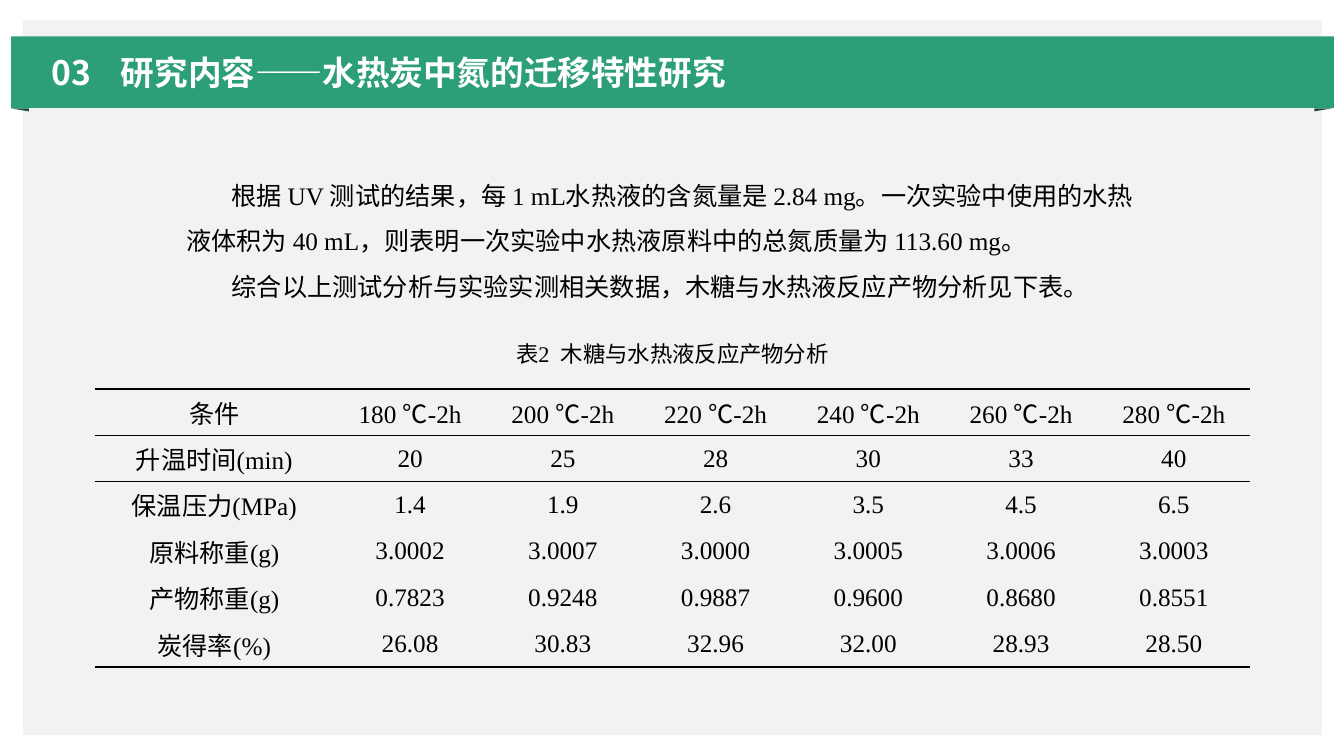
from pptx import Presentation
from pptx import util as u
from pptx.dml.color import RGBColor
from pptx.enum import shapes, text
from pptx.oxml.ns import qn
from lxml import etree

TITLE = "03\t研究内容——水热炭中氮的迁移特性研究"
BODY = [
    "根据 UV 测试的结果，每 1 mL水热液的含氮量是 2.84 mg。一次实验中使用的水热液体积为 40 mL，"
    "则表明一次实验中水热液原料中的总氮质量为 113.60 mg。",
    "综合以上测试分析与实验实测相关数据，木糖与水热液反应产物分析见下表。",
]
CAPTION = ("表", "2", "木糖与水热液反应产物分析")
TEMPERATURES = (180, 200, 220, 240, 260, 280)
RESULTS = [
    ("升温时间(min)", "20", "25", "28", "30", "33", "40"),
    ("保温压力(MPa)", "1.4", "1.9", "2.6", "3.5", "4.5", "6.5"),
    ("原料称重(g)", "3.0002", "3.0007", "3.0000", "3.0005", "3.0006", "3.0003"),
    ("产物称重(g)", "0.7823", "0.9248", "0.9887", "0.9600", "0.8680", "0.8551"),
    ("炭得率(%)", "26.08", "30.83", "32.96", "32.00", "28.93", "28.50"),
]
COLORS = {"panel": "F2F2F2", "banner": "2C9F76", "fold": "16503B",
          "title": "FFFFFF", "text": "000000", "rule": "080000"}
SANS, SERIF = "Noto Sans CJK SC", "Times New Roman"
LABEL_WIDTH, VALUE_WIDTH, ROW_HEIGHT = 2.37, 1.515, 0.46
THICK, THIN = 1.5, 1


def assign(target, values):
    for name, value in values.items():
        setattr(target, name, value)


def add_block(page, kind, place, color):
    block = page.shapes.add_shape(kind, *map(u.Inches, place))
    block.shadow.inherit = False
    block.fill.solid()
    block.fill.fore_color.rgb = RGBColor.from_string(COLORS[color])
    block.line.fill.background()
    return block


def add_fold(page, left, rotation):
    fold = add_block(page, shapes.MSO_SHAPE.ISOSCELES_TRIANGLE, (left, 1, 0.03, 0.18), "fold")
    fold.adjustments[0] = 0
    fold.rotation = rotation
    return fold


def add_frame(page, place, anchor=text.MSO_ANCHOR.TOP):
    frame = page.shapes.add_textbox(*map(u.Inches, place)).text_frame
    assign(frame, {"word_wrap": True, "vertical_anchor": anchor})
    return frame


def add_span(para, words, size, face=SERIF, color="text", bold=False):
    span = para.add_run()
    span.text = words
    assign(span.font, {"size": u.Pt(size), "name": face, "bold": bold})
    span.font.color.rgb = RGBColor.from_string(COLORS[color])
    latin = span.font._element.find(qn("a:latin"))
    east = etree.Element(qn("a:ea"), typeface=SANS)
    latin.addnext(east)
    return span


def add_border(cell, side, width):
    line = etree.SubElement(cell._tc.get_or_add_tcPr(), qn("a:" + side), w=str(u.Pt(width)))
    fill = etree.SubElement(line, qn("a:solidFill"))
    etree.SubElement(fill, qn("a:srgbClr"), val=COLORS["rule"])


def add_title(page):
    frame = add_frame(page, (0.41, 0.46, 12.52, 0.51), text.MSO_ANCHOR.BOTTOM)
    para = frame.paragraphs[0]
    para.line_spacing = 0.9
    tabs = etree.SubElement(para._p.get_or_add_pPr(), qn("a:tabLst"))
    etree.SubElement(tabs, qn("a:tab"), pos=str(u.Inches(0.69)), algn="l")
    add_span(para, TITLE, 24, SANS, "title", True)


def add_caption(page):
    para = add_frame(page, (2.7, 3.33, 7.94, 0.37)).paragraphs[0]
    para.alignment = text.PP_ALIGN.CENTER
    label, number, subject = CAPTION
    add_span(para, label, 16, SANS)
    add_span(para, number, 16)
    gap = add_span(para, " ", 16)
    gap.font._element.set("spc", "400")
    add_span(para, subject, 16, SANS)


def add_results(page):
    header = ["条件"] + [f"{degrees} ℃-2h" for degrees in TEMPERATURES]
    rows = [header] + RESULTS
    width = LABEL_WIDTH + VALUE_WIDTH * len(TEMPERATURES)
    place = (0.94, 3.86, width, ROW_HEIGHT * len(rows))
    table = page.shapes.add_table(len(rows), len(header), *map(u.Inches, place)).table
    assign(table, {"first_row": False, "horz_banding": False})
    style = table._tbl.tblPr.find(qn("a:tableStyleId"))
    style.text = "{2D5ABB26-0587-4C30-8999-92F81FD0307C}"
    for index, column in enumerate(table.columns):
        column.width = u.Inches(VALUE_WIDTH if index else LABEL_WIDTH)
    borders = {0: (("lnT", THICK), ("lnB", THIN)), 1: (("lnT", THIN),),
               len(rows) - 1: (("lnB", THICK),)}
    for r, row in enumerate(rows):
        table.rows[r].height = u.Inches(ROW_HEIGHT)
        for c, words in enumerate(row):
            cell = table.cell(r, c)
            assign(cell, {"margin_left": u.Inches(0.07), "margin_right": u.Inches(0.07),
                          "margin_top": 0, "margin_bottom": 0,
                          "vertical_anchor": text.MSO_ANCHOR.MIDDLE})
            for side, weight in borders.get(r, ()):
                add_border(cell, side, weight)
            cell.fill.background()
            para = cell.text_frame.paragraphs[0]
            para.alignment = text.PP_ALIGN.CENTER
            before, sign, after = words.partition("℃")
            for part, face in ((before, SERIF), (sign, SANS), (after, SERIF)):
                if part:
                    add_span(para, part, 18, face)


def add_body(page):
    frame = add_frame(page, (1.75, 1.59, 9.83, 1.46))
    for index, words in enumerate(BODY):
        para = frame.add_paragraph() if index else frame.paragraphs[0]
        para.line_spacing = 1.5
        para._p.get_or_add_pPr().set("indent", str(u.Inches(0.45)))
        add_span(para, words, 18)


def main():
    deck = Presentation()
    assign(deck, {"slide_width": u.Inches(13.33), "slide_height": u.Inches(7.5)})
    page = deck.slides.add_slide(deck.slide_layouts[6])
    add_block(page, shapes.MSO_SHAPE.RECTANGLE, (0.23, 0.2, 12.88, 7.09), "panel")
    add_block(page, shapes.MSO_SHAPE.RECTANGLE, (0.11, 0.36, 13.12, 0.71), "banner")
    left_fold = add_fold(page, 0.18, 270)
    left_fold._element.spPr.find(qn("a:xfrm")).set("flipH", "1")
    add_fold(page, 13.11, 90)
    add_title(page)
    add_caption(page)
    add_results(page)
    add_body(page)
    deck.save("out.pptx")


if __name__ == "__main__":
    main()
